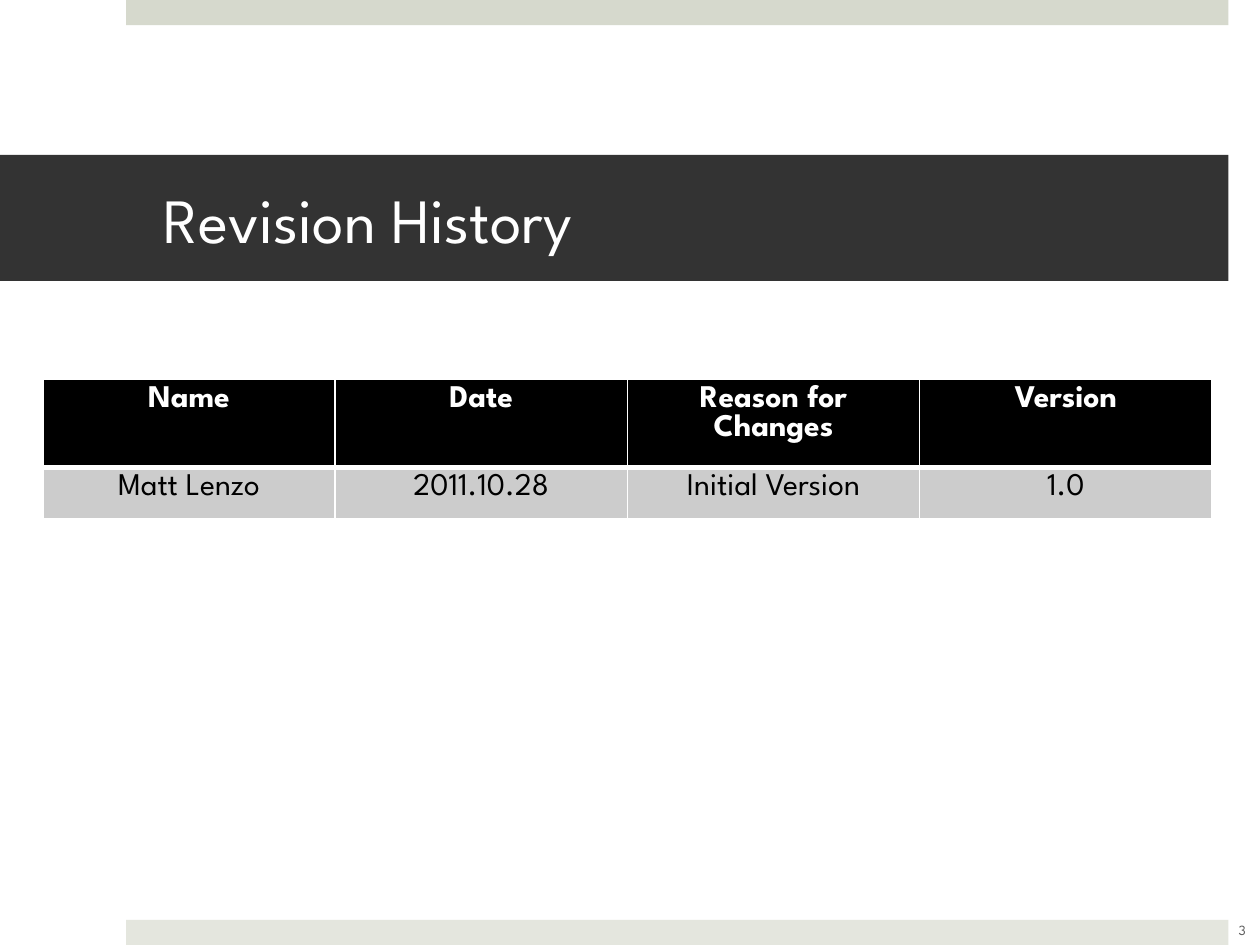
from dataclasses import dataclass

from lxml import etree
from pptx import Presentation
from pptx.dml.color import RGBColor
from pptx.enum.shapes import MSO_SHAPE
from pptx.enum.text import MSO_ANCHOR, PP_ALIGN
from pptx.oxml.ns import qn
from pptx.util import Inches, Pt

RECT = MSO_SHAPE.RECTANGLE
MIDDLE = MSO_ANCHOR.MIDDLE
LEFT, CENTER = PP_ALIGN.LEFT, PP_ALIGN.CENTER


@dataclass(frozen=True)
class Theme:
    font: str = "League Spartan"
    white: str = "FFFFFF"
    black: str = "000000"
    dark: str = "333333"
    grey: str = "595959"
    row: str = "CCCCCC"
    top: str = "D6D9CD"
    foot: str = "E4E6DE"
    big: int = 36
    text: int = 18
    small: int = 8


class Deck:
    def __init__(self, theme, slide):
        self.theme = theme
        self.slide = slide

    def paint(self, item, color):
        item.fill.solid()
        item.fill.fore_color.rgb = RGBColor.from_string(color)

    def letter(self, frame, text, size, color, align=CENTER, bold=False):
        frame.word_wrap = True
        para = frame.paragraphs[0]
        para.text = text
        para.alignment = align
        font = para.font
        font.name, font.size, font.bold = self.theme.font, Pt(size), bold
        font.color.rgb = RGBColor.from_string(color)

    def bar(self, x, y, w, h, color):
        shape = self.slide.shapes.add_shape(
            RECT, Inches(x), Inches(y), Inches(w), Inches(h))
        shape.shadow.inherit = False
        shape.line.fill.background()
        self.paint(shape, color)

    def title(self, text, x, y, w, h):
        shape = self.slide.shapes.title
        shape.left, shape.top = Inches(x), Inches(y)
        shape.width, shape.height = Inches(w), Inches(h)
        self.paint(shape, self.theme.dark)
        frame = shape.text_frame
        frame.margin_left, frame.margin_right = Inches(1.3), Inches(0.3)
        frame.vertical_anchor = MIDDLE
        self.letter(frame, text, self.theme.big, self.theme.white, LEFT)

    def label(self, text, x, y, w, h):
        box = self.slide.shapes.add_textbox(
            Inches(x), Inches(y), Inches(w), Inches(h))
        box.text_frame.vertical_anchor = MIDDLE
        self.letter(box.text_frame, text, self.theme.small, self.theme.grey)

    def border(self, cell, widths):
        props = cell._tc.get_or_add_tcPr()
        for spot, (side, width) in enumerate(widths.items()):
            line = etree.Element(qn(f"a:ln{side}"), w=str(Pt(width)))
            fill = etree.SubElement(line, qn("a:solidFill"))
            etree.SubElement(fill, qn("a:srgbClr"), val=self.theme.white)
            props.insert(spot, line)

    def table(self, rows, x, y, w, h):
        theme = self.theme
        grid = self.slide.shapes.add_table(
            len(rows), len(rows[0]), Inches(x), Inches(y),
            Inches(w), Inches(h * len(rows))).table
        for r, row in enumerate(rows):
            head = r == 0
            widths = {"L": 1, "R": 1, "T": 1 if head else 3,
                      "B": 3 if head else 1}
            for c, text in enumerate(row):
                cell = grid.cell(r, c)
                self.paint(cell, theme.black if head else theme.row)
                self.border(cell, widths)
                self.letter(cell.text_frame, text, theme.text,
                            theme.white if head else theme.black, bold=head)


# Slide
theme = Theme()
show = Presentation()
show.slide_width, show.slide_height = Inches(10), Inches(7.5)
deck = Deck(theme, show.slides.add_slide(show.slide_layouts[5]))

# Edge bars
for y, color in ((0, theme.top), (7.3, theme.foot)):
    deck.bar(1, y, 8.75, 0.2, color)

# Title band and page number
deck.title("Revision History", 0, 1.23, 9.75, 1)
deck.label("3", 9.61, 7.18, 0.5, 0.4)

# Revision table
deck.table([
    ("Name", "Date", "Reason for Changes", "Version"),
    ("Matt Lenzo", "2011.10.28", "Initial Version", "1.0"),
], 0.34, 3.01, 9.28, 0.41)

show.save("out.pptx")
